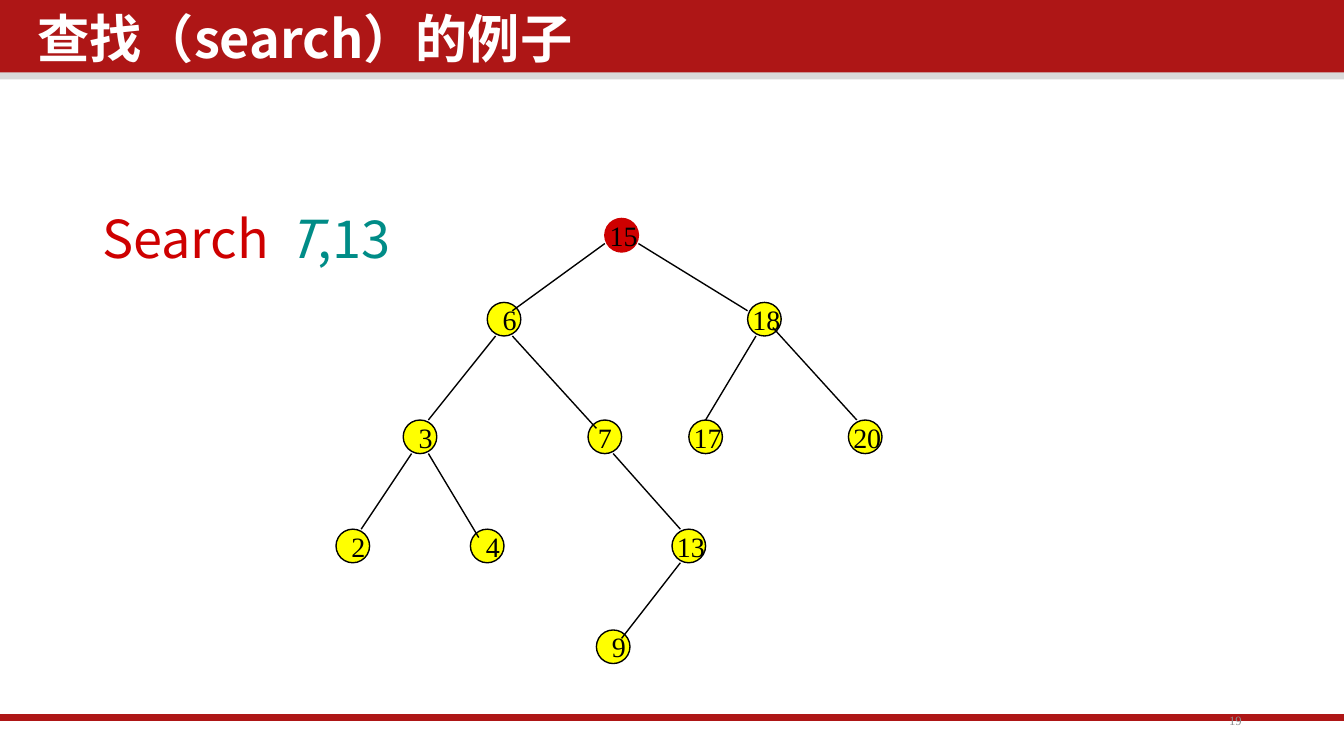
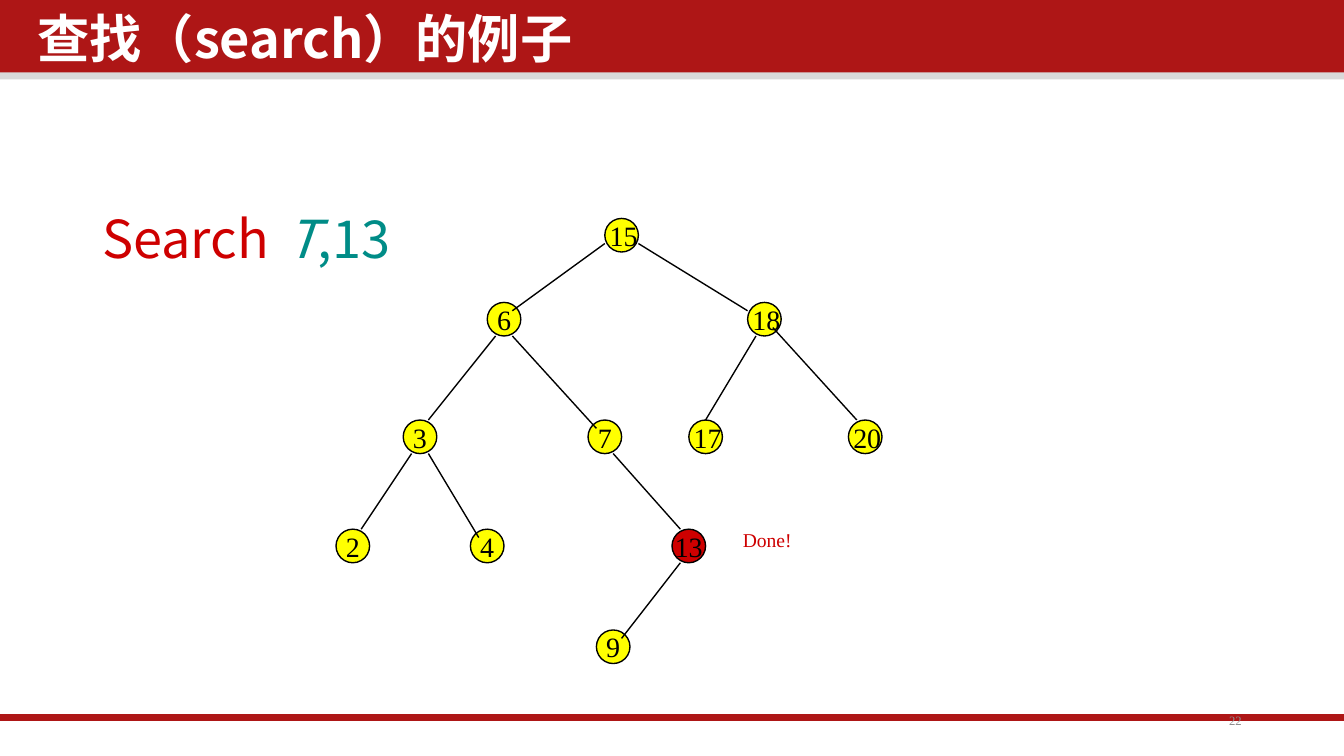
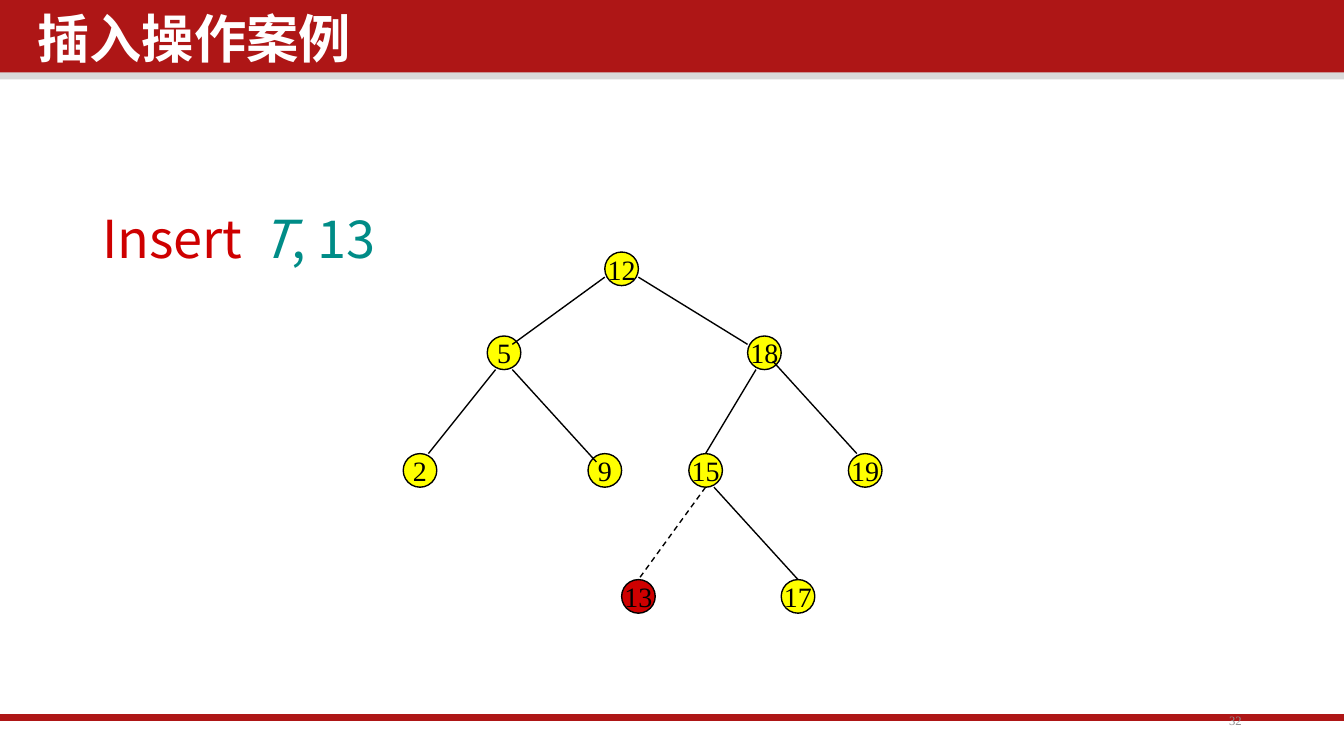
from dataclasses import dataclass
from typing import Any, NamedTuple

from lxml import etree
from pptx import Presentation
from pptx import util as u
from pptx.dml import color
from pptx.enum import dml, shapes, text
from pptx.oxml import ns

COLORS = {
    "band": "AE1616", "strip": "D9D9D9", "white": "FFFFFF", "ink": "000000",
    "node": "FFFF00", "mark": "CE0000", "argument": "008C87", "number": "8C8C8C",
}
SANS, SERIF = "Noto Sans CJK SC", "Times New Roman"
HEADING = {"name": SANS, "size": u.Pt(28), "bold": True}
OPERATION = {"name": SANS, "size": u.Pt(28), "bold": False}
KEY = {"name": SERIF, "size": u.Pt(15)}
NOTE = {"name": SERIF, "size": u.Pt(10.5)}
NUMBER = {"name": SERIF, "size": u.Pt(6.8)}
SLIM = (0.07, 0.04, 0.07, 0.04)
ROOMY = (0.1, 0.05, 0.1, 0.05)
NODE_SIZE = 4  # sixteenths of an inch


class Run(NamedTuple):
    content: str
    color: str
    italic: bool = False


class KeyStyle(NamedTuple):
    left: float
    right: float
    align: Any


LEFT = KeyStyle(0, 0, text.PP_ALIGN.LEFT)
LEFT_PADDED = KeyStyle(0, 0.1, text.PP_ALIGN.LEFT)
INDENTED = KeyStyle(0.1, 0.1, text.PP_ALIGN.LEFT)
CENTER = KeyStyle(0, 0, text.PP_ALIGN.CENTER)


class Spot(NamedTuple):
    """Top left of a tree node, in sixteenths of an inch."""
    column: int
    row: int


class Edge(NamedTuple):
    """Ends of a tree edge, in sixteenths of an inch."""
    x1: int
    y1: int
    x2: int
    y2: int
    dashed: bool = False


@dataclass
class Tree:
    spots: list[Spot]
    edges: list[Edge]
    drop: int = 0


@dataclass
class Page:
    title: str
    number: int
    operation: str
    argument: str
    tree: Tree
    keys: list[int]
    styles: list[KeyStyle]
    marked: int
    marked_line: str = "ink"
    note: str = ""


# Tree layouts, listed level by level
TOP_SPOTS = [Spot(72, 26), Spot(58, 36), Spot(89, 36),
             Spot(48, 50), Spot(70, 50), Spot(82, 50), Spot(101, 50)]
TOP_EDGES = [Edge(59, 40, 51, 50), Edge(61, 40, 71, 51), Edge(72, 29, 61, 37),
             Edge(76, 29, 89, 37), Edge(92, 39, 102, 50), Edge(90, 40, 84, 50)]
SEARCH_TREE = Tree(
    TOP_SPOTS + [Spot(40, 63), Spot(56, 63), Spot(80, 63), Spot(71, 75)],
    TOP_EDGES + [Edge(49, 54, 43, 63), Edge(51, 54, 57, 64),
                 Edge(73, 54, 81, 63), Edge(81, 67, 74, 76)])
INSERT_TREE = Tree(
    TOP_SPOTS + [Spot(74, 65), Spot(93, 65)],
    TOP_EDGES + [Edge(85, 54, 95, 65), Edge(84, 54, 76, 65, dashed=True)],
    drop=4)

SEARCH_TITLE = "查找（search）的例子"
SEARCH_KEYS = [15, 6, 18, 3, 7, 17, 20, 2, 4, 13, 9]
PAGES = [
    Page(SEARCH_TITLE, 19, "Search", ",13", SEARCH_TREE, SEARCH_KEYS,
         [LEFT, INDENTED, LEFT, INDENTED, CENTER, LEFT, LEFT,
          INDENTED, INDENTED, LEFT, INDENTED], marked=15, marked_line="mark"),
    Page(SEARCH_TITLE, 22, "Search", ",13", SEARCH_TREE, SEARCH_KEYS,
         [LEFT_PADDED, CENTER, LEFT_PADDED, CENTER, CENTER, LEFT_PADDED,
          LEFT_PADDED, CENTER, CENTER, CENTER, CENTER], marked=13, note="Done!"),
    Page("插入操作案例", 32, "Insert", ", 13", INSERT_TREE,
         [12, 5, 18, 2, 9, 15, 19, 13, 17], [CENTER] * 9, marked=13),
]


def rgb(name: str) -> color.RGBColor:
    return color.RGBColor.from_string(COLORS[name])


def sixteenths(count: int) -> u.Length:
    return u.Inches(count / 16)


def apply(target: Any, values: dict[str, Any]) -> None:
    for name, value in values.items():
        setattr(target, name, value)


def write(shape: Any, runs: list[Run], font: dict[str, Any], insets: tuple,
          align: Any = text.PP_ALIGN.LEFT, anchor: Any = text.MSO_ANCHOR.TOP,
          wrap: bool = True, spacing: float = 1.0) -> None:
    frame = shape.text_frame
    left, top, right, bottom = map(u.Inches, insets)
    apply(frame, {"margin_left": left, "margin_top": top, "margin_right": right,
                  "margin_bottom": bottom, "vertical_anchor": anchor, "word_wrap": wrap})
    paragraph = frame.paragraphs[0]
    apply(paragraph, {"alignment": align, "line_spacing": spacing})
    for item in runs:
        run = paragraph.add_run()
        run.text = item.content
        apply(run.font, font | {"italic": item.italic})
        run.font.color.rgb = rgb(item.color)
        # East Asian characters take their own typeface element
        east_asian = etree.SubElement(run.font._element, ns.qn("a:ea"))
        east_asian.set("typeface", font["name"])


def add_text(slide: Any, box: tuple, runs: list[Run], font: dict[str, Any],
             insets: tuple = SLIM, **options: Any) -> Any:
    shape = slide.shapes.add_textbox(*map(u.Inches, box))
    write(shape, runs, font, insets, **options)
    return shape


def add_band(slide: Any, top: float, height: float, fill: str) -> None:
    shape = slide.shapes.add_shape(
        shapes.MSO_SHAPE.RECTANGLE, 0, u.Inches(top), u.Inches(10), u.Inches(height))
    shape.shadow.inherit = False
    shape.fill.solid()
    shape.fill.fore_color.rgb = rgb(fill)
    shape.line.fill.background()


def add_line(slide: Any, ends: list[u.Length], name: str, width: float,
             dashed: bool = False) -> None:
    connector = slide.shapes.add_connector(shapes.MSO_CONNECTOR.STRAIGHT, *ends)
    connector.line.color.rgb = rgb(name)
    connector.line.width = u.Pt(width)
    if dashed:
        connector.line.dash_style = dml.MSO_LINE.DASH
    etree.SubElement(connector._element.spPr, ns.qn("a:effectLst"))


def add_frame(slide: Any, page: Page) -> None:
    add_band(slide, 0.5, 0.09, "strip")
    add_band(slide, 0, 0.54, "band")
    add_line(slide, [u.Inches(n) for n in (-0.02, 5.34, 10, 5.34)], "band", 4)
    add_text(slide, (0.21, 0.06, 7.64, 0.59), [Run(page.title, "white")],
             HEADING, spacing=0.9)
    add_text(slide, (7.06, 5.21, 2.25, 0.3), [Run(str(page.number), "number")],
             NUMBER, align=text.PP_ALIGN.RIGHT, anchor=text.MSO_ANCHOR.MIDDLE)


def add_node(slide: Any, spot: Spot, drop: int, key: int, style: KeyStyle,
             fill: str, line: str) -> None:
    shape = slide.shapes.add_shape(
        shapes.MSO_SHAPE.OVAL, sixteenths(spot.column), sixteenths(spot.row + drop),
        sixteenths(NODE_SIZE), sixteenths(NODE_SIZE))
    shape.shadow.inherit = False
    shape.fill.solid()
    shape.fill.fore_color.rgb = rgb(fill)
    shape.line.color.rgb = rgb(line)
    shape.line.width = u.Pt(0.75)
    write(shape, [Run(str(key), "ink")], KEY, (style.left, 0.05, style.right, 0.05),
          align=style.align, anchor=text.MSO_ANCHOR.MIDDLE, wrap=False)


def add_tree(slide: Any, page: Page) -> None:
    tree = page.tree
    for spot, key, style in zip(tree.spots, page.keys, page.styles):
        marked = key == page.marked
        add_node(slide, spot, tree.drop, key, style, "mark" if marked else "node",
                 page.marked_line if marked else "ink")
    for edge in tree.edges:
        ends = (edge.x1, edge.y1 + tree.drop, edge.x2, edge.y2 + tree.drop)
        add_line(slide, [sixteenths(n) for n in ends], "ink", 0.75, edge.dashed)


def add_page(presentation: Any, page: Page) -> None:
    slide = presentation.slides.add_slide(presentation.slide_layouts[6])
    add_frame(slide, page)
    # The operation call; its parentheses are white
    call = [Run(page.operation, "mark"), Run("(", "white"),
            Run("T", "argument", italic=True), Run(page.argument, "argument"),
            Run(")", "white")]
    add_text(slide, (0.69, 1.55, 5.91, 0.59), call, OPERATION, spacing=0.9)
    add_tree(slide, page)
    if page.note:
        note = add_text(slide, (5.43, 3.88, 0.56, 0.28), [Run(page.note, "mark")],
                        NOTE, ROOMY, wrap=False)
        note.text_frame.auto_size = text.MSO_AUTO_SIZE.SHAPE_TO_FIT_TEXT


def main() -> None:
    presentation = Presentation()
    apply(presentation, {"slide_width": sixteenths(160), "slide_height": sixteenths(90)})
    for page in PAGES:
        add_page(presentation, page)
    presentation.save("out.pptx")


if __name__ == "__main__":
    main()
